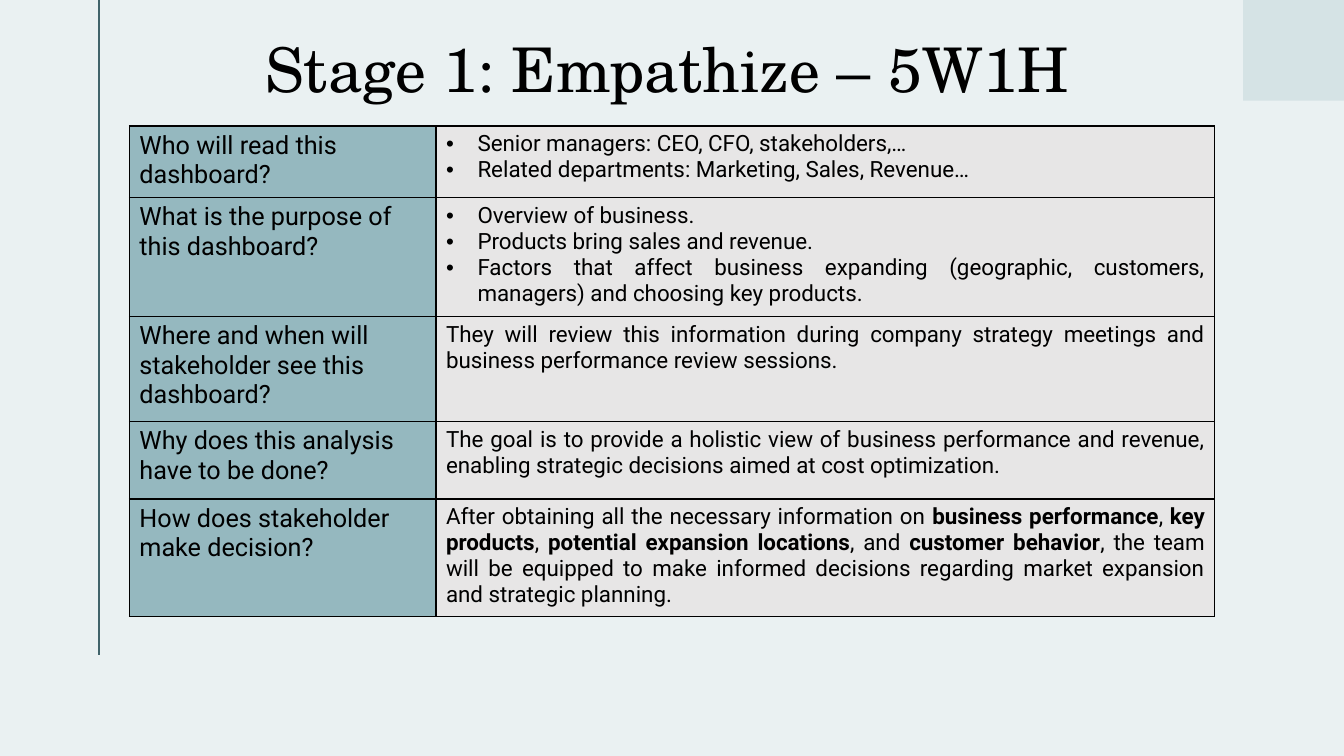
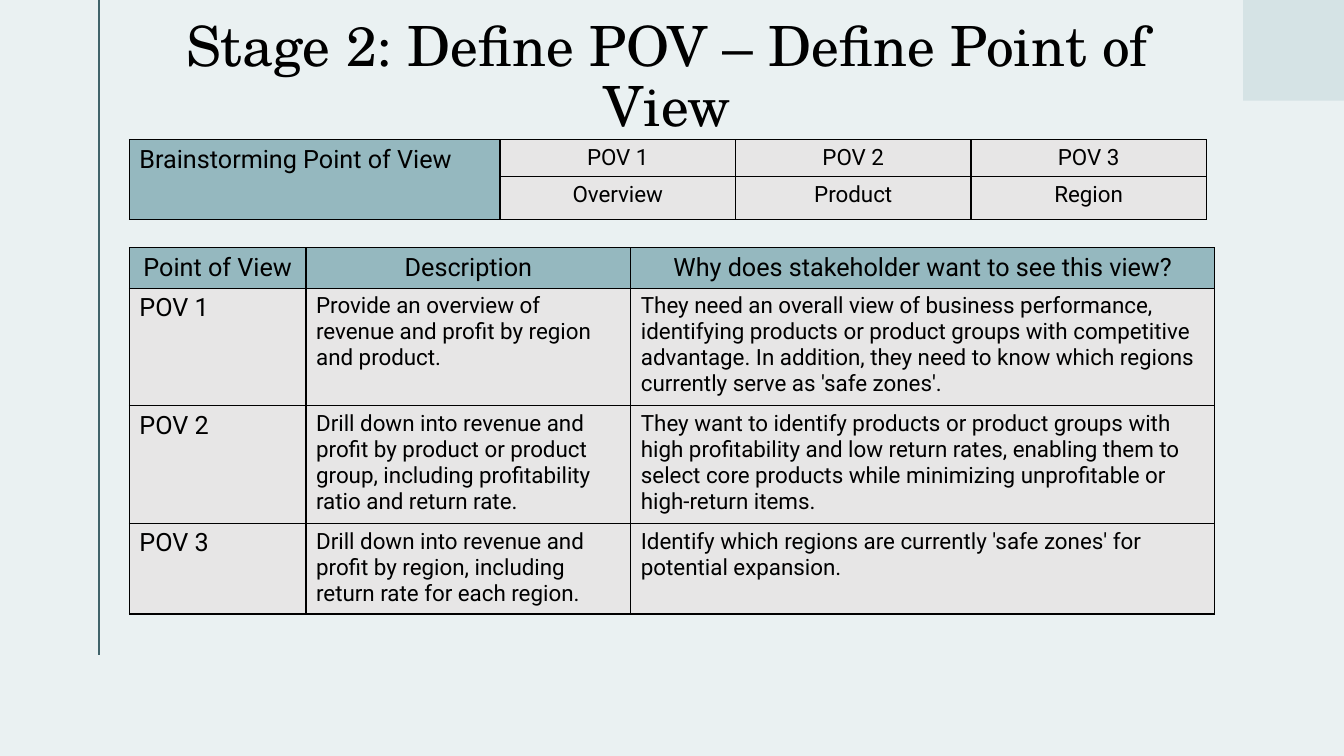
from dataclasses import dataclass

from lxml.etree import SubElement
from pptx import Presentation
from pptx.dml.color import RGBColor
from pptx.enum.shapes import MSO_CONNECTOR, MSO_SHAPE
from pptx.enum.text import MSO_ANCHOR, PP_ALIGN
from pptx.oxml import parse_xml
from pptx.oxml.ns import nsdecls, qn
from pptx.util import Pt


@dataclass(frozen=True)
class Theme:
    background: str = "EAF1F2"
    corner: str = "D5E3E5"
    rule: str = "40636A"
    heading_fill: str = "95B8BF"
    body_fill: str = "E7E6E6"
    ink: str = "000000"
    title_font: str = "TeX Gyre Schola"
    body_font: str = "Roboto"
    heading_size: float = 18
    body_size: float = 16
    border: float = 1
    rule_width: float = 1.5
    bullet_indent: float = 22.5


@dataclass(frozen=True)
class Cell:
    """Cell content: one string per paragraph, with **bold** parts."""
    paragraphs: tuple
    fill: str
    size: float
    align: PP_ALIGN = PP_ALIGN.LEFT
    bulleted: bool = False


THEME = Theme()
LEFT = 92.4


def heading(text, align=PP_ALIGN.LEFT):
    return Cell((text,), THEME.heading_fill, THEME.heading_size, align)


def label(text):
    return Cell((text,), THEME.body_fill, THEME.heading_size)


def body(*paragraphs, align=PP_ALIGN.LEFT, bulleted=False):
    return Cell(paragraphs, THEME.body_fill, THEME.body_size, align, bulleted)


class Deck:
    def __init__(self, theme):
        self.theme = theme
        self.prs = Presentation()
        self.prs.slide_width, self.prs.slide_height = Pt(960), Pt(540)
        self.slide = None

    def new_slide(self):
        """Start a slide with the shared background, rule and corner."""
        theme = self.theme
        self.slide = self.prs.slides.add_slide(self.prs.slide_layouts[6])
        backdrop = self.slide.background.fill
        backdrop.solid()
        backdrop.fore_color.rgb = RGBColor.from_string(theme.background)

        rule = self.slide.shapes.add_connector(
            MSO_CONNECTOR.STRAIGHT, Pt(70.8), Pt(0), Pt(70.8), Pt(468))
        rule.line.color.rgb = RGBColor.from_string(theme.rule)
        rule.line.width = Pt(theme.rule_width)
        SubElement(rule._element.spPr, qn("a:effectLst"))

        corner = self.slide.shapes.add_shape(
            MSO_SHAPE.RECTANGLE, Pt(888), Pt(0), Pt(72), Pt(72))
        corner.shadow.inherit = False
        corner.fill.solid()
        corner.fill.fore_color.rgb = RGBColor.from_string(theme.corner)
        corner.line.fill.background()

    def style_font(self, font, name, size):
        font.name, font.size = name, Pt(size)
        font.color.rgb = RGBColor.from_string(self.theme.ink)

    def title(self, text, top, size):
        frame = self.slide.shapes.add_textbox(
            Pt(110.8), Pt(top), Pt(738.8), Pt(76.3)).text_frame
        frame.word_wrap = True
        frame.vertical_anchor = MSO_ANCHOR.MIDDLE
        frame.margin_left = Pt(0)
        paragraph = frame.paragraphs[0]
        paragraph.text = text
        paragraph.alignment = PP_ALIGN.CENTER
        paragraph.line_spacing = 0.9
        self.style_font(paragraph.font, self.theme.title_font, size)

    def table(self, top, widths, heights, rows):
        """Draw rows of Cell; None is a place covered by a merged cell."""
        table = self.slide.shapes.add_table(
            len(heights), len(widths), Pt(LEFT), Pt(top),
            Pt(sum(widths)), Pt(sum(heights))).table
        table.first_row = table.horz_banding = False
        for column, width in zip(table.columns, widths):
            column.width = Pt(width)
        for row, height in zip(table.rows, heights):
            row.height = Pt(height)
        for r, row in enumerate(rows):
            for c, content in enumerate(row):
                cell = table.cell(r, c)
                self.borders(cell)
                if content:
                    self.fill_cell(cell, content)
        return table

    def borders(self, cell):
        props = cell._tc.get_or_add_tcPr()
        for index, side in enumerate(("lnL", "lnR", "lnT", "lnB")):
            props.insert(index, parse_xml(
                f'<a:{side} {nsdecls("a")} w="{Pt(self.theme.border)}">'
                f'<a:solidFill><a:srgbClr val="{self.theme.ink}"/></a:solidFill>'
                f'</a:{side}>'))

    def fill_cell(self, cell, content):
        cell.fill.solid()
        cell.fill.fore_color.rgb = RGBColor.from_string(content.fill)
        frame = cell.text_frame
        for index, text in enumerate(content.paragraphs):
            paragraph = frame.add_paragraph() if index else frame.paragraphs[0]
            paragraph.alignment = content.align
            if content.bulleted:
                self.bullet(paragraph)
            self.style_font(paragraph.font, self.theme.body_font, content.size)
            # Every second part lies between bold marks
            for part, words in enumerate(text.split("**")):
                run = paragraph.add_run()
                run.text = words
                if part % 2:
                    run.font.bold = True

    def bullet(self, paragraph):
        props = paragraph._p.get_or_add_pPr()
        indent = Pt(self.theme.bullet_indent)
        props.set("marL", str(indent))
        props.set("indent", str(-indent))
        SubElement(props, qn("a:buFont"), typeface="Arial")
        SubElement(props, qn("a:buChar"), char="•")


def empathize(deck):
    deck.new_slide()
    deck.title("Stage 1: Empathize – 5W1H", top=13.7, size=44)
    justify = PP_ALIGN.JUSTIFY
    deck.table(90, [219, 556.4], [51, 85, 75, 55.5, 82], [
        [heading("Who will read this dashboard?"),
         body("Senior managers: CEO, CFO, stakeholders,…",
              "Related departments: Marketing, Sales, Revenue…",
              align=justify, bulleted=True)],
        [heading("What is the purpose of this dashboard?"),
         body("Overview of business.",
              "Products bring sales and revenue.",
              "Factors that affect business expanding (geographic, customers, "
              "managers) and choosing key products.",
              align=justify, bulleted=True)],
        [heading("Where and when will stakeholder see this dashboard?"),
         body("They will review this information during company strategy "
              "meetings and business performance review sessions.",
              align=justify)],
        [heading("Why does this analysis have to be done?"),
         body("The goal is to provide a holistic view of business performance "
              "and revenue, enabling strategic decisions aimed at cost "
              "optimization.", align=justify)],
        [heading("How does stakeholder make decision?"),
         body("After obtaining all the necessary information on **business "
              "performance**, **key products**, **potential expansion "
              "locations**, and **customer behavior**, the team will be "
              "equipped to make informed decisions regarding market expansion "
              "and strategic planning.", align=justify)],
    ])


def define_pov(deck):
    center = PP_ALIGN.CENTER
    deck.new_slide()
    deck.title("Stage 2: Define POV – Define Point of View", top=18, size=39.6)

    # Brainstormed views
    views = ["POV 1", "POV 2", "POV 3"]
    topics = ["Overview", "Product", "Region"]
    brainstorm = deck.table(99.8, [264.8] + [168.2] * 3, [25.8, 30.6], [
        [heading("Brainstorming Point of View")]
        + [body(view, align=center) for view in views],
        [None] + [body(topic, align=center) for topic in topics],
    ])
    brainstorm.cell(0, 0).merge(brainstorm.cell(1, 0))

    # Reason for each view
    headings = ["Point of View", "Description",
                "Why does stakeholder want to see this view?"]
    reasons = [
        ("Provide an overview of revenue and profit by region and product.",
         "They need an overall view of business performance, identifying "
         "products or product groups with competitive advantage. In addition, "
         "they need to know which regions currently serve as 'safe zones'."),
        ("Drill down into revenue and profit by product or product group, "
         "including profitability ratio and return rate.",
         "They want to identify products or product groups with high "
         "profitability and low return rates, enabling them to select core "
         "products while minimizing unprofitable or high-return items."),
        ("Drill down into revenue and profit by region, including return rate "
         "for each region.",
         "Identify which regions are currently 'safe zones' for potential "
         "expansion."),
    ]
    deck.table(177, [126.2, 232, 417.2], [28.6, 81.5, 81.5, 63],
               [[heading(text, center) for text in headings]]
               + [[label(view), body(description), body(reason)]
                  for view, (description, reason) in zip(views, reasons)])


def main():
    deck = Deck(THEME)
    empathize(deck)
    define_pov(deck)
    deck.prs.save("out.pptx")


if __name__ == "__main__":
    main()
